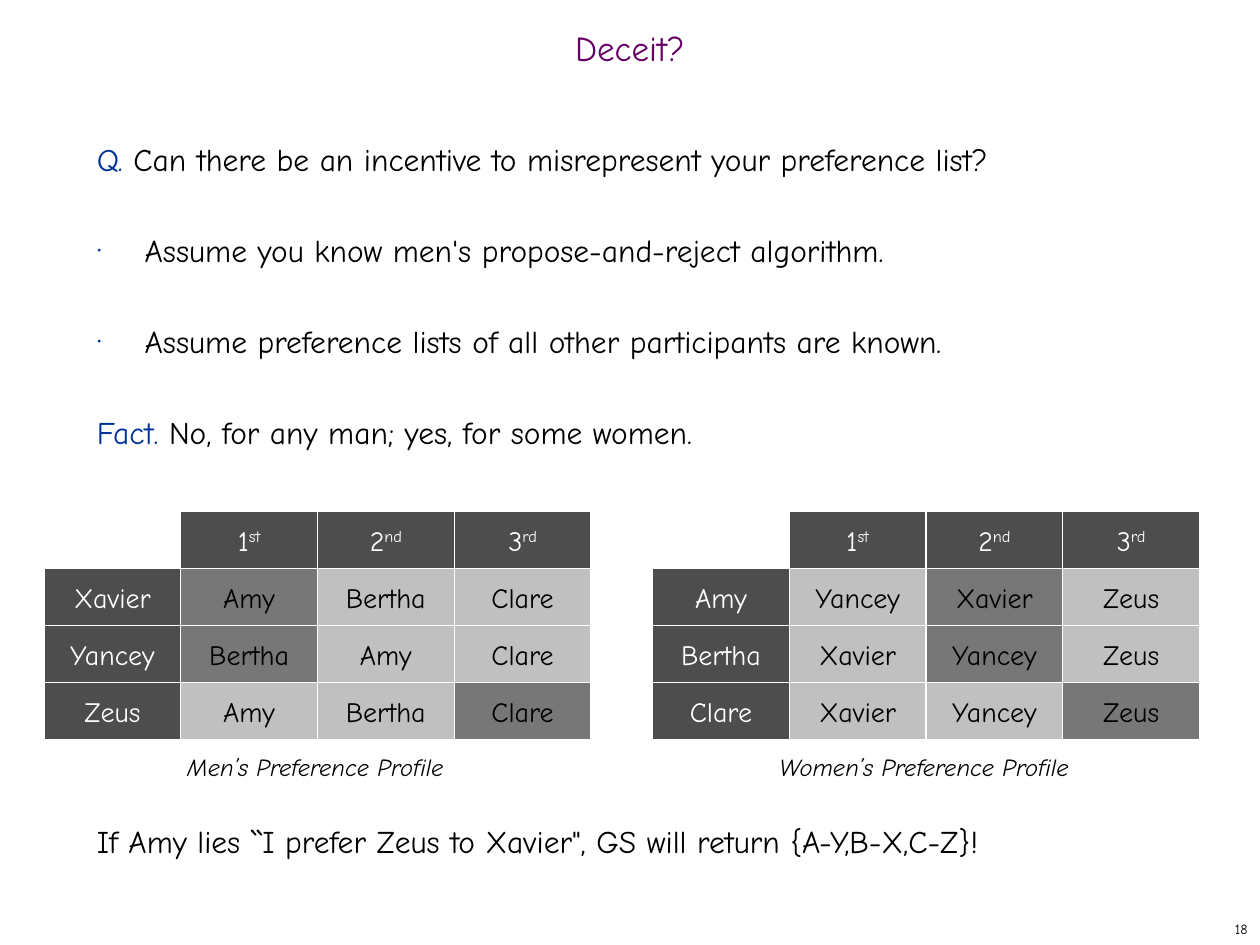
from lxml import etree
from pptx import Presentation
from pptx.dml.color import RGBColor
from pptx.enum.shapes import MSO_SHAPE
from pptx.enum.text import MSO_ANCHOR, PP_ALIGN
from pptx.oxml.ns import qn
from pptx.util import Inches, Pt

LEFT, CENTER, RIGHT = PP_ALIGN.LEFT, PP_ALIGN.CENTER, PP_ALIGN.RIGHT
TOP, MIDDLE = MSO_ANCHOR.TOP, MSO_ANCHOR.MIDDLE
RECTANGLE = MSO_SHAPE.RECTANGLE
FONT = "Comic Neue"
PURPLE = RGBColor(0x66, 0x00, 0x66)
BLUE = RGBColor(0x00, 0x33, 0x99)
BLACK = RGBColor(0x00, 0x00, 0x00)
WHITE = RGBColor(0xFF, 0xFF, 0xFF)
DARK = RGBColor(0x4D, 0x4D, 0x4D)
MID = RGBColor(0x77, 0x77, 0x77)
LIGHT = RGBColor(0xC0, 0xC0, 0xC0)

TITLE = "Deceit?"
PAGE = "18"
LINE = 26  # body line pitch in points
# lead word, text, bulleted, empty lines above
BODY = [
    ("Q. ", "Can there be an incentive to misrepresent your preference list?", False, 0),
    ("", "Assume you know men's propose-and-reject algorithm.", True, 1),
    ("", "Assume preference lists of all other participants are known.", True, 1),
    ("Fact. ", "No, for any man; yes, for some women.", False, 1),
    ("", "If Amy lies ``I prefer Zeus to Xavier\", GS will return {A-Y,B-X,C-Z}!", False, 8),
]
RANKS = [("1", "st"), ("2", "nd"), ("3", "rd")]
# matches: the rank column of each row's partner
PROFILES = [
    {"caption": "Men’s Preference Profile", "left": 0.35, "matches": [1, 1, 3],
     "rows": [["Xavier", "Amy", "Bertha", "Clare"],
              ["Yancey", "Bertha", "Amy", "Clare"],
              ["Zeus", "Amy", "Bertha", "Clare"]]},
    {"caption": "Women’s Preference Profile", "left": 5.18, "matches": [2, 2, 3],
     "rows": [["Amy", "Yancey", "Xavier", "Zeus"],
              ["Bertha", "Xavier", "Yancey", "Zeus"],
              ["Clare", "Xavier", "Yancey", "Zeus"]]},
]
GRID_TOP, GRID_W, GRID_H = 4.06, 4.34, 1.81
COL_W, ROW_H = GRID_W / 4, GRID_H / 4
CAPTION_TOP = 5.86


def add_run(p, text, size, color, **formats):
    r = p.add_run()
    r.text = text
    r.font.color.rgb = color
    for name, value in {"name": FONT, "size": Pt(size), **formats}.items():
        setattr(r.font, name, value)
    return r


def add_box(s, left, top, width, height, align=LEFT, anchor=MIDDLE, wrap=True):
    """Add a text box and return its text frame."""
    box = s.shapes.add_textbox(*map(Inches, (left, top, width, height)))
    tf = box.text_frame
    tf.word_wrap, tf.vertical_anchor = wrap, anchor
    tf.paragraphs[0].alignment = align
    return tf


def add_body(s):
    tf = add_box(s, 0.67, 1, 8.58, 5.92, anchor=TOP)
    for i, (lead, text, bulleted, gap) in enumerate(BODY):
        p = tf.add_paragraph() if i else tf.paragraphs[0]
        p.line_spacing, p.space_before = Pt(LINE), Pt(LINE * gap)
        pPr = p._p.get_or_add_pPr()
        pPr.set("marL", str(Inches(0.38)))
        pPr.set("indent", str(-Inches(0.38)))
        if bulleted:
            color = etree.SubElement(pPr, qn("a:buClr"))
            etree.SubElement(color, qn("a:srgbClr"), val=str(BLUE))
            etree.SubElement(pPr, qn("a:buSzPct"), val="50000")
            etree.SubElement(pPr, qn("a:buFont"), typeface=FONT)
            etree.SubElement(pPr, qn("a:buChar"), char="•")
        if lead:
            add_run(p, lead, 18, BLUE)
        add_run(p, text, 18, BLACK)


def add_cell(s, left, row, col, fill, color, text, suffix=""):
    """Add one grid cell, with an optional raised suffix after its text."""
    sp = s.shapes.add_shape(RECTANGLE, Inches(left + col * COL_W),
                            Inches(GRID_TOP + row * ROW_H), Inches(COL_W), Inches(ROW_H))
    sp.shadow.inherit = False
    sp.fill.solid()
    sp.fill.fore_color.rgb = fill
    sp.line.color.rgb = WHITE
    sp.line.width = Pt(0.75)
    tf = sp.text_frame
    tf.word_wrap, tf.vertical_anchor = False, MIDDLE
    p = tf.paragraphs[0]
    p.alignment = CENTER
    add_run(p, text, 16, color)
    if suffix:
        r = add_run(p, suffix, 16, color)
        r._r.get_or_add_rPr().set("baseline", "30000")


def add_profile(s, profile):
    left = profile["left"]
    for col, (number, suffix) in enumerate(RANKS, 1):
        add_cell(s, left, 0, col, DARK, WHITE, number, suffix)
    for row, (names, match) in enumerate(zip(profile["rows"], profile["matches"]), 1):
        for col, name in enumerate(names):
            if col == 0:
                fill, color = DARK, WHITE
            else:
                fill, color = MID if col == match else LIGHT, BLACK
            add_cell(s, left, row, col, fill, color, name)
    tf = add_box(s, left - 0.01, CAPTION_TOP, 4.33, 0.45, CENTER, wrap=False)
    add_run(tf.paragraphs[0], profile["caption"], 14, BLACK, italic=True)


def main():
    prs = Presentation()
    prs.slide_width, prs.slide_height = Inches(10), Inches(7.5)
    s = prs.slides.add_slide(prs.slide_layouts[6])
    p = add_box(s, 0, 0.17, 10, 0.5, CENTER).paragraphs[0]
    p.line_spacing = 0.7
    add_run(p, TITLE, 20, PURPLE)
    add_body(s)
    tf = add_box(s, 7.92, 7.25, 2.08, 0.25, RIGHT, wrap=False)
    add_run(tf.paragraphs[0], PAGE, 8, BLACK)
    for profile in PROFILES:
        add_profile(s, profile)
    prs.save("out.pptx")


if __name__ == "__main__":
    main()
